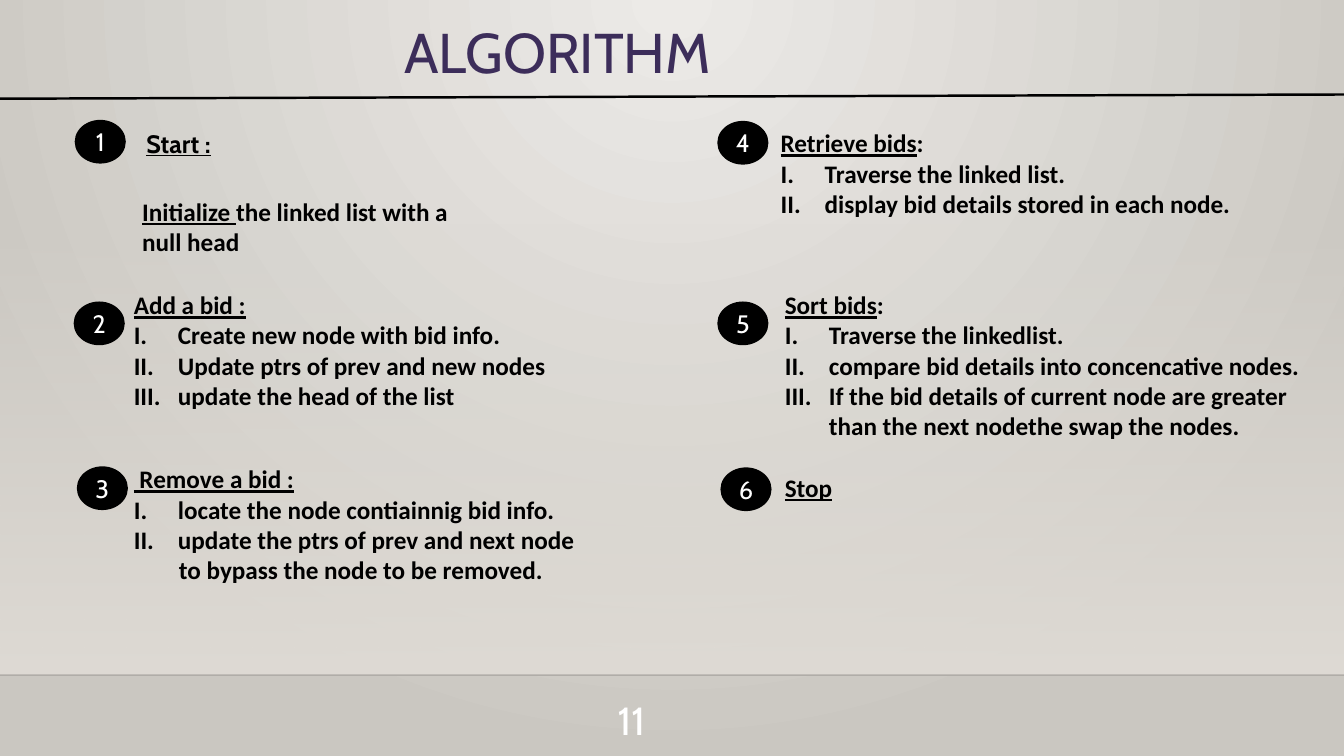
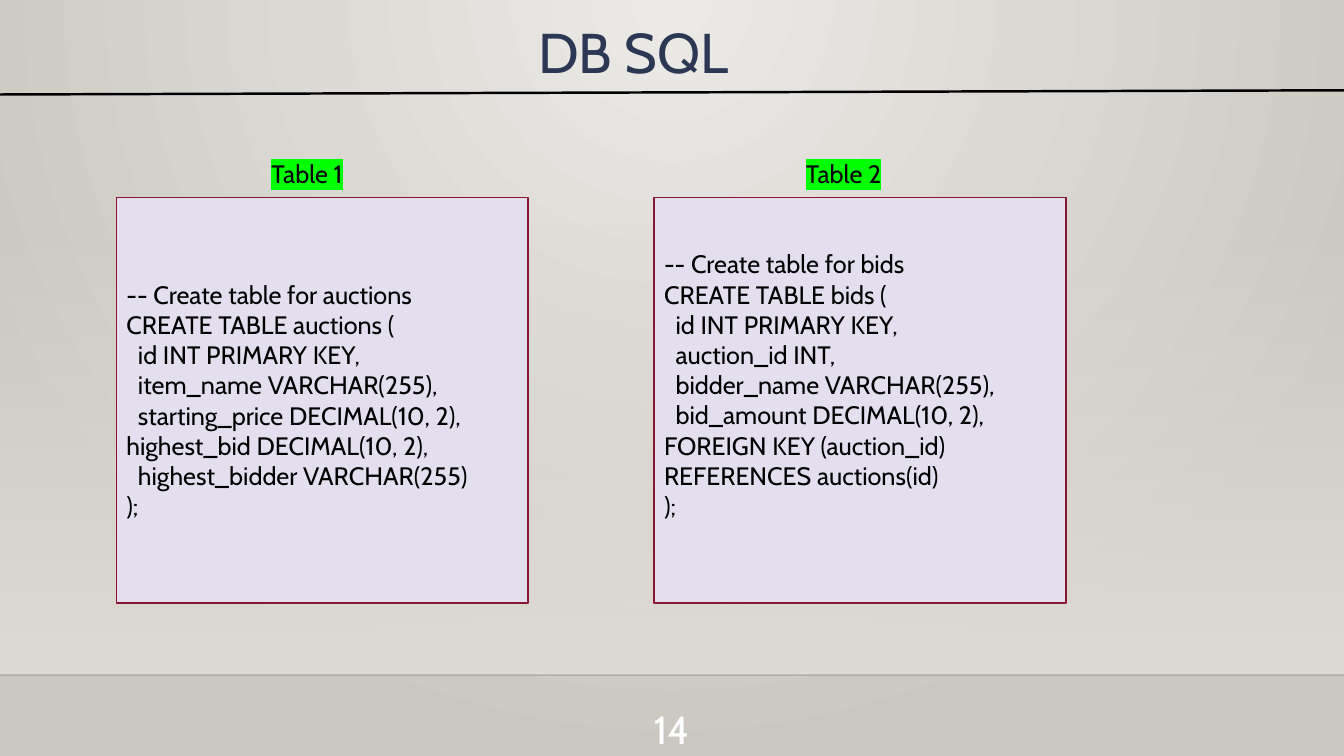
from dataclasses import dataclass

import lxml.etree
import pptx
import pptx.dml.color
import pptx.enum.shapes
import pptx.enum.text
import pptx.oxml.ns
import pptx.presentation
import pptx.shapes.autoshape
import pptx.shapes.connector
import pptx.slide
import pptx.text.text
import pptx.util

RGBColor = pptx.dml.color.RGBColor
Align = pptx.enum.text.PP_ALIGN
Anchor = pptx.enum.text.MSO_ANCHOR
Preset = pptx.enum.shapes.MSO_SHAPE
qn = pptx.oxml.ns.qn

BLACK = RGBColor(0x00, 0x00, 0x00)
WHITE = RGBColor(0xFF, 0xFF, 0xFF)
GLOW = RGBColor(0xEC, 0xEA, 0xE7)
STONE = RGBColor(0xCA, 0xC7, 0xC1)
SAND = RGBColor(0xDF, 0xDB, 0xD5)
PURPLE = RGBColor(0x3C, 0x2D, 0x5A)
NAVY = RGBColor(0x2C, 0x37, 0x53)
LAVENDER = RGBColor(0xE4, 0xDF, 0xEF)
CRIMSON = RGBColor(0x87, 0x16, 0x31)
GREEN = RGBColor(0x00, 0xFF, 0x00)

EMU_PER_PX = 9525
WIDTH, HEIGHT = 1280, 720
FLOOR = 643
LIST_INDENT = 42
CODE_INDENT = 11
CODE_LINE = 29


def px(length: int) -> pptx.util.Emu:
    return pptx.util.Emu(length * EMU_PER_PX)


@dataclass(frozen=True)
class Box:
    left: int
    top: int
    width: int
    height: int

    def emu(self) -> tuple[pptx.util.Emu, ...]:
        return px(self.left), px(self.top), px(self.width), px(self.height)


@dataclass(frozen=True)
class Style:
    font: str = "Cabin"
    size: int = 18
    color: RGBColor = BLACK
    bold: bool = False
    align: Align = Align.LEFT
    spacing: float = 1.0
    highlight: RGBColor | None = None


@dataclass(frozen=True)
class Line:
    text: str = ""
    underlined: str = ""
    numbered: bool = False
    indent: int = 0


@dataclass(frozen=True)
class Step:
    number: int
    badge_left: int
    badge_top: int
    box: Box
    lines: list[Line]
    font: str = "Calibri"


@dataclass(frozen=True)
class SqlTable:
    label: str
    label_box: Box
    left: int
    lines: list[Line]
    extra_bottom: int = 0


BADGE = Style(color=WHITE, align=Align.CENTER)
PAGE_NUMBER = Style(size=28, color=WHITE, align=Align.RIGHT)
CODE = Style()
LABEL = Style(highlight=GREEN)


def numbered(text: str) -> Line:
    return Line(text, numbered=True, indent=LIST_INDENT)


def column(text: str) -> Line:
    return Line(text, indent=CODE_INDENT)


STEPS = [
    Step(1, 72, 115, Box(130, 117, 228, 38), [Line(underlined="Start :")], "Cabin"),
    Step(2, 71, 288, Box(118, 271, 616, 126), [
        Line(underlined="Add a bid :"),
        numbered("Create new node with bid info."),
        numbered("Update ptrs of prev and new nodes"),
        numbered("update the head of the list"),
    ]),
    Step(3, 74, 445, Box(118, 437, 601, 126), [
        Line(underlined=" Remove a bid :"),
        numbered("locate the node contiainnig bid info."),
        numbered("update the ptrs of prev and next node"),
        Line("to bypass the node to be removed.", indent=LIST_INDENT + 1),
    ]),
    Step(4, 684, 116, Box(734, 117, 470, 97), [
        Line(":", "Retrieve bids"),
        numbered("Traverse the linked list."),
        numbered("display bid details stored in each node."),
    ]),
    Step(5, 684, 288, Box(738, 271, 517, 213), [
        Line(":", "Sort bids"),
        numbered("Traverse the linkedlist."),
        numbered("compare bid details into concencative nodes."),
        numbered("If the bid details of current node are greater than the next nodethe swap the nodes."),
    ]),
    Step(6, 687, 446, Box(738, 445, 292, 38), [Line(underlined="Stop")]),
]

SQL_TABLES = [
    SqlTable("Table 1", Box(249, 146, 154, 38), 111, [
        Line("-- Create table for auctions"),
        Line("CREATE TABLE auctions ("),
        column("id INT PRIMARY KEY,"),
        column("item_name VARCHAR(255),"),
        column("starting_price DECIMAL(10, 2),"),
        Line("highest_bid DECIMAL(10, 2),"),
        column("highest_bidder VARCHAR(255)"),
        Line(");"),
    ]),
    SqlTable("Table 2", Box(758, 146, 196, 38), 623, [
        Line("-- Create table for bids"),
        Line("CREATE TABLE bids ("),
        column("id INT PRIMARY KEY,"),
        column("auction_id INT,"),
        column("bidder_name VARCHAR(255),"),
        column("bid_amount DECIMAL(10, 2),"),
        Line("FOREIGN KEY (auction_id) REFERENCES auctions(id)"),
        Line(");"),
    ], CODE_LINE),
]


def set_alpha(color: lxml.etree._Element, percent: int) -> None:
    lxml.etree.SubElement(color, qn("a:alpha")).set("val", str(percent * 1000))


def write(frame: pptx.text.text.TextFrame, lines: list[Line], style: Style) -> None:
    frame.word_wrap = True
    frame.text = "\n".join(line.underlined or line.text for line in lines)
    for paragraph, line in zip(frame.paragraphs, lines):
        paragraph.alignment = style.align
        if style.spacing != 1:
            paragraph.line_spacing = style.spacing
        if line.underlined:
            paragraph.runs[0].font.underline = True
            if line.text:
                paragraph.add_run().text = line.text
        if line.indent:
            properties = paragraph._p.get_or_add_pPr()
            properties.set("marL", str(px(line.indent)))
            properties.set("indent", str(-px(line.indent) if line.numbered else 0))
            if line.numbered:
                lxml.etree.SubElement(properties, qn("a:buAutoNum")).set("type", "romanUcPeriod")
        for run in paragraph.runs:
            run.font.name = style.font
            run.font.size = pptx.util.Pt(style.size)
            run.font.bold = style.bold
            run.font.color.rgb = style.color
            if style.highlight is not None:
                highlight = lxml.etree.Element(qn("a:highlight"))
                lxml.etree.SubElement(highlight, qn("a:srgbClr")).set("val", str(style.highlight))
                run._r.rPr.find(qn("a:solidFill")).addnext(highlight)


def add_text(slide: pptx.slide.Slide, box: Box, lines: list[Line], style: Style,
             anchor: Anchor = Anchor.TOP) -> None:
    frame = slide.shapes.add_textbox(*box.emu()).text_frame
    frame.vertical_anchor = anchor
    write(frame, lines, style)


def add_panel(slide: pptx.slide.Slide, preset: Preset, box: Box, fill: RGBColor, outline: RGBColor,
              lines: list[Line], style: Style) -> pptx.shapes.autoshape.Shape:
    panel = slide.shapes.add_shape(preset, *box.emu())
    panel.shadow.inherit = False
    panel.fill.solid()
    panel.fill.fore_color.rgb = fill
    panel.line.color.rgb = outline
    panel.line.width = pptx.util.Pt(1.25)
    panel.text_frame.vertical_anchor = Anchor.MIDDLE
    write(panel.text_frame, lines, style)
    return panel


def add_rule(slide: pptx.slide.Slide, start: int, end: int, width: float) -> pptx.shapes.connector.Connector:
    rule = slide.shapes.add_connector(
        pptx.enum.shapes.MSO_CONNECTOR.STRAIGHT, px(0), px(start), px(WIDTH), px(end))
    rule.line.color.rgb = BLACK
    rule.line.width = pptx.util.Pt(width)
    lxml.etree.SubElement(rule._element.spPr, qn("a:effectLst"))
    return rule


def paint_background(master: pptx.slide.SlideMaster) -> None:
    fill = master.background.fill
    fill.gradient()
    for stop, color in zip(fill.gradient_stops, (GLOW, STONE)):
        stop.color.rgb = color
    gradient = master.element.find(".//" + qn("a:gradFill"))
    gradient.remove(gradient.find(qn("a:lin")))
    circle = lxml.etree.SubElement(gradient, qn("a:path"))
    circle.set("path", "circle")
    focus = lxml.etree.SubElement(circle, qn("a:fillToRect"))
    for side, percent in (("l", 43), ("t", 0), ("r", 43), ("b", 100)):
        focus.set(side, str(percent * 1000))


def add_base(deck: pptx.presentation.Presentation, rule_start: int, rule_end: int,
             number: str, number_box: Box) -> pptx.slide.Slide:
    slide = deck.slides.add_slide(deck.slide_layouts[6])
    wall = slide.shapes.add_shape(Preset.RECTANGLE, *Box(0, 212, WIDTH, FLOOR - 212).emu())
    wall.shadow.inherit = False
    wall.line.fill.background()
    wall.fill.gradient()
    wall.fill.gradient_angle = 270
    for stop in wall.fill.gradient_stops:
        stop.color.rgb = SAND
    set_alpha(wall._element.spPr.find(".//" + qn("a:srgbClr")), 0)
    floor_edge = add_rule(slide, FLOOR, FLOOR, 1)
    set_alpha(floor_edge._element.spPr.find(".//" + qn("a:srgbClr")), 20)
    add_rule(slide, rule_start, rule_end, 1.75)
    add_text(slide, number_box, [Line(number)], PAGE_NUMBER)
    return slide


def build_algorithm(deck: pptx.presentation.Presentation) -> None:
    slide = add_base(deck, 94, 90, "11", Box(539, 658, 85, 53))
    add_text(slide, Box(0, 14, 1062, 77), [Line("ALGORITHM")],
             Style(size=40, color=PURPLE, align=Align.CENTER, spacing=0.9), Anchor.MIDDLE)
    add_text(slide, Box(126, 182, 329, 68), [Line("the linked list with a null head", "Initialize ")],
             Style("Calibri", bold=True))
    for step in STEPS:
        add_text(slide, step.box, step.lines, Style(step.font, bold=True))
        add_panel(slide, Preset.OVAL, Box(step.badge_left, step.badge_top, 47, 40),
                  BLACK, BLACK, [Line(str(step.number))], BADGE)


def build_sql(deck: pptx.presentation.Presentation) -> None:
    slide = add_base(deck, 90, 86, "14", Box(581, 667, 85, 53))
    add_text(slide, Box(503, 12, 315, 74), [Line("DB SQL")], Style(size=40, color=NAVY))
    for table in SQL_TABLES:
        panel = add_panel(slide, Preset.RECTANGLE, Box(table.left, 188, 392, 386),
                          LAVENDER, CRIMSON, table.lines, CODE)
        panel.text_frame.margin_bottom = px(5 + table.extra_bottom)
        add_text(slide, table.label_box, [Line(table.label)], LABEL)


def main() -> None:
    deck = pptx.Presentation()
    deck.slide_width, deck.slide_height = px(WIDTH), px(HEIGHT)
    paint_background(deck.slide_master)
    build_algorithm(deck)
    build_sql(deck)
    deck.save("out.pptx")


if __name__ == "__main__":
    main()
